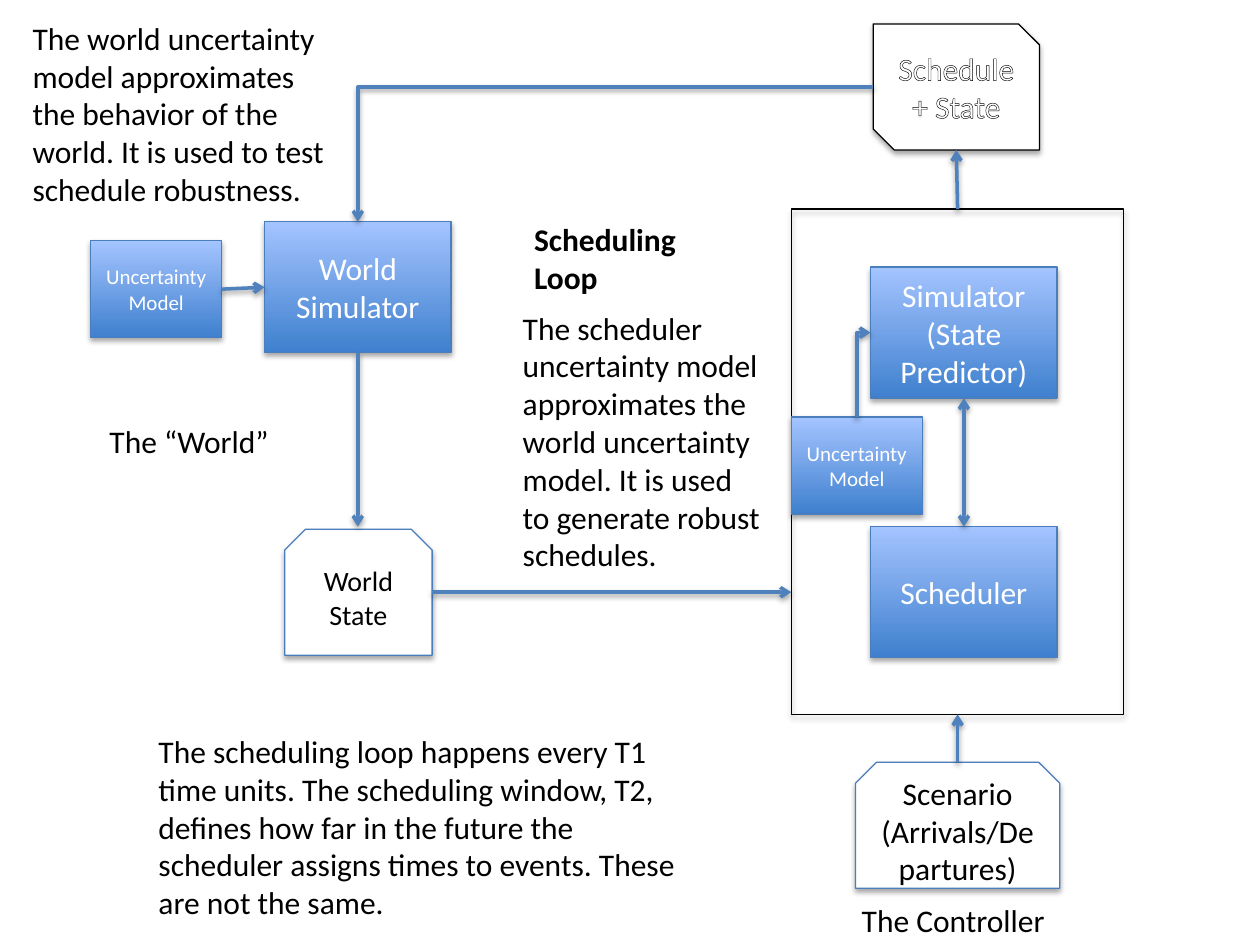
from lxml import etree
from pptx import Presentation, util as u
from pptx.dml.color import RGBColor
from pptx.enum import shapes, text
from pptx.oxml import parse_xml
from pptx.oxml.ns import nsdecls, qn

SCALE = 9144  # EMU per px, 100 px to the inch
S = shapes.MSO_SHAPE
TOP, LEFT, BOTTOM, RIGHT = range(4)


def px(n):
    return u.Emu(n * SCALE)


def rgb(code):
    return RGBColor.from_string(code)


class Board:
    font = "Calibri"
    black, white = "000000", "FFFFFF"
    edge, link = "4B7EBC", "4F81BD"
    dark, light = "3F80CE", "A4C4FF"

    def __init__(self, slide):
        self.slide = slide

    def shade(self, item, dist, alpha):
        item._element.spPr.append(parse_xml(
            f'<a:effectLst {nsdecls("a")}><a:outerShdw blurRad="40000" dist="{dist}" '
            f'dir="5400000" rotWithShape="0"><a:srgbClr val="{self.black}">'
            f'<a:alpha val="{alpha}000"/></a:srgbClr></a:outerShdw></a:effectLst>'))

    def label(self, frame, lines, size, color, align=None, bold=None):
        frame.text = lines
        for para in frame.paragraphs:
            para.alignment = align
            font = para.font
            font.name, font.size, font.bold = self.font, u.Pt(size), bold
            font.color.rgb = rgb(color)

    def shape(self, kind, box, edge, words="", size=18, color=black):
        item = self.slide.shapes.add_shape(kind, *map(px, box))
        item.line.color.rgb = rgb(edge)
        item.line.width = u.Pt(0.75)
        if words:
            item.fill.solid()
            item.fill.fore_color.rgb = rgb(self.white)
            frame = item.text_frame
            frame.word_wrap = True
            frame.vertical_anchor = text.MSO_ANCHOR.MIDDLE
            self.label(frame, words, size, color, text.PP_ALIGN.CENTER)
        else:
            item.fill.background()
        self.shade(item, 23000, 35)
        return item

    def block(self, box, words, size=18):
        item = self.shape(S.RECTANGLE, box, self.edge, words, size, self.white)
        item.fill.gradient()
        item.fill.gradient_angle = 90
        for stop, place, color in zip(item.fill.gradient_stops, (0, 1), (self.dark, self.light)):
            stop.position = place
            stop.color.rgb = rgb(color)
        return item

    def outline(self, item):
        for run in item.text_frame.paragraphs[0].runs:
            run._r.get_or_add_rPr().insert(0, parse_xml(
                f'<a:ln {nsdecls("a")} w="9525"><a:solidFill>'
                f'<a:srgbClr val="{self.black}"/></a:solidFill></a:ln>'))

    def arrow(self, start, end, tips=("tailEnd",), first=None, last=None, bent=False):
        kind = shapes.MSO_CONNECTOR.ELBOW if bent else shapes.MSO_CONNECTOR.STRAIGHT
        item = self.slide.shapes.add_connector(kind, *map(px, start + end))
        if first:
            item.begin_connect(*first)
        if last:
            item.end_connect(*last)
        item.line.color.rgb = rgb(self.link)
        item.line.width = u.Pt(2)
        props = item._element.spPr
        if bent:
            props.find(qn("a:prstGeom")).set("prst", "bentConnector2")
        for tip in tips:
            etree.SubElement(props.find(qn("a:ln")), qn(f"a:{tip}"), type="arrow")
        self.shade(item, 20000, 38)

    def note(self, box, words, wrap=True, bold=None):
        frame = self.slide.shapes.add_textbox(*map(px, box)).text_frame
        frame.word_wrap = wrap
        frame.auto_size = text.MSO_AUTO_SIZE.SHAPE_TO_FIT_TEXT
        self.label(frame, words, 18, self.black, bold=bold)


def main():
    deck = Presentation()
    deck.slide_width, deck.slide_height = px(1000), px(750)
    board = Board(deck.slides.add_slide(deck.slide_layouts[6]))

    # Controller
    frame = board.shape(S.RECTANGLE, (628, 166, 264, 401), board.black)
    plan = board.shape(S.SNIP_2_DIAG_RECTANGLE, (693, 19, 132, 100), board.black,
                       "Schedule + State", color=board.white)
    board.outline(plan)
    guess = board.block((691, 212, 148, 104), "Simulator (State Predictor)")
    sched = board.block((691, 418, 148, 104), "Scheduler")
    board.shape(S.SNIP_2_SAME_RECTANGLE, (679, 605, 162, 100), board.edge,
                "Scenario (Arrivals/Departures)")
    board.block((628, 331, 104, 77), "Uncertainty Model", 12)

    # World
    world = board.block((210, 176, 148, 104), "World Simulator")
    board.shape(S.SNIP_2_SAME_RECTANGLE, (226, 420, 117, 100), board.edge, "World State", 16)
    model = board.block((72, 191, 104, 77), "Uncertainty Model", 12)

    # Straight arrows
    board.arrow((765, 316), (765, 418), ("headEnd", "tailEnd"), (guess, BOTTOM), (sched, TOP))
    board.arrow((760, 605), (760, 567), last=(frame, BOTTOM))
    board.arrow((760, 166), (759, 119), first=(frame, TOP))
    board.arrow((343, 470), (628, 470))
    board.arrow((284, 280), (284, 418), first=(world, BOTTOM))
    board.arrow((176, 229), (210, 228), first=(model, RIGHT), last=(world, LEFT))

    # Bent arrows, horizontal leg first
    board.arrow((693, 69), (284, 176), bent=True)
    board.arrow((691, 264), (680, 331), ("headEnd",), bent=True)

    # Labels
    board.note((77, 330, 148, 40), "The “World”", wrap=False)
    board.note((674, 710, 168, 40), "The Controller", wrap=False)
    board.note((414, 170, 135, 71), "Scheduling\nLoop", wrap=False, bold=True)

    # Explanations
    board.note((116, 576, 454, 162),
               "The scheduling loop happens every T1 time units. The scheduling window, T2, "
               "defines how far in the future the scheduler assigns times to events. "
               "These are not the same.")
    board.note((16, 10, 265, 162),
               "The world uncertainty model approximates the behavior of the world. "
               "It is used to test schedule robustness.")
    board.note((405, 240, 212, 222),
               "The scheduler uncertainty model approximates the world uncertainty model. "
               "It is used to generate robust schedules.")

    deck.save("out.pptx")


if __name__ == "__main__":
    main()
